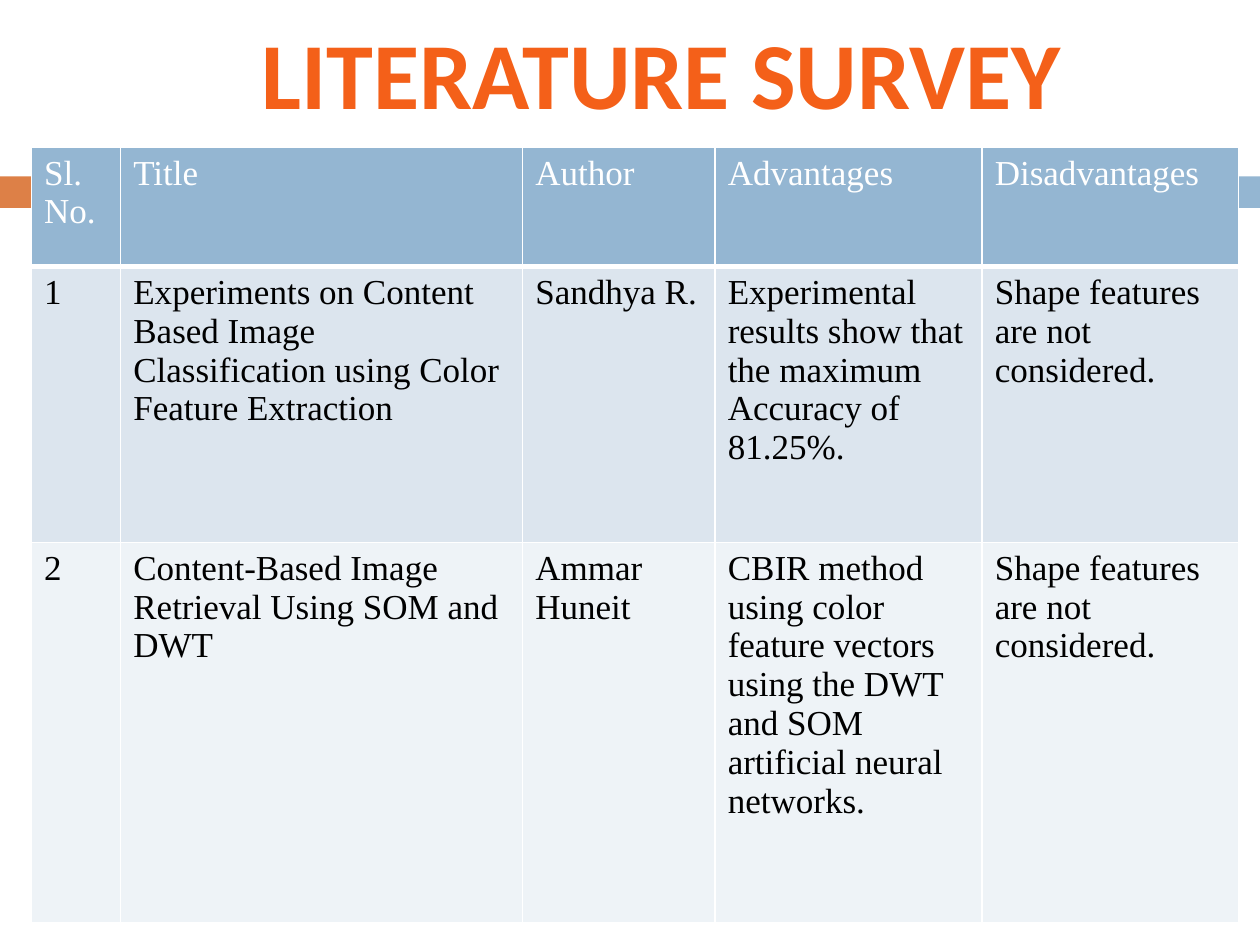
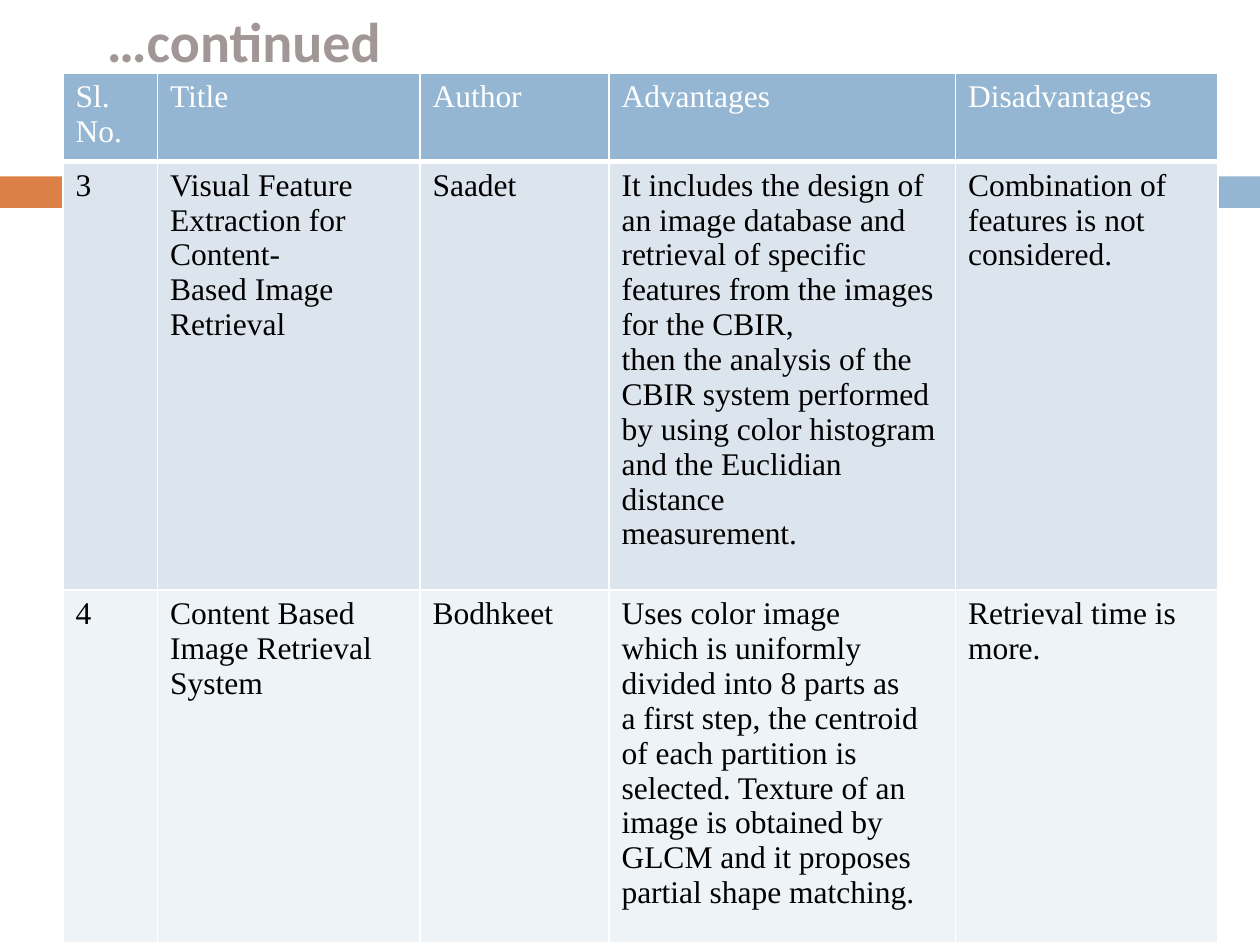
"""Build two literature survey slides, each with a heading and a table of papers."""
from lxml.etree import SubElement
from pptx import Presentation
from pptx.dml.color import RGBColor
from pptx.enum.shapes import MSO_SHAPE
from pptx.enum.text import MSO_ANCHOR, PP_ALIGN
from pptx.oxml.ns import qn
from pptx.util import Pt

ORANGE, BLUE, WHITE, BLACK = "DD8047", "94B6D2", "FFFFFF", "000000"
ROW_FILLS = [BLUE, "DCE5EE", "EEF3F7"]
HEADER = ["Sl. No.", "Title", "Author", "Advantages", "Disadvantages"]
BANDS = [(0, 42, ORANGE), (46.8, 673.2, BLUE)]

SURVEYS = [
    {
        "heading": "LITERATURE SURVEY",
        "heading_box": (42, 8, 672, 66),
        "heading_style": (54, "F46019", PP_ALIGN.CENTER),
        "table_corner": (18, 84.24),
        "text_size": 20,
        "columns": [51, 229.7, 110, 152.6, 146.6],
        "rows": [68.2, 157.7, 217.3],
        "papers": [
            ["1",
             "Experiments on Content Based Image Classification using Color Feature Extraction",
             "Sandhya R.",
             "Experimental results show that the maximum\nAccuracy of 81.25%.",
             "Shape features are not considered."],
            ["2",
             "Content-Based Image Retrieval Using SOM and DWT",
             "Ammar\nHuneit",
             "CBIR method using color feature vectors using the DWT and SOM "
             "artificial neural networks.",
             "Shape features\nare not considered."],
        ],
    },
    {
        "heading": "…continued",
        "heading_box": (54, 0, 228, 46),
        "heading_style": (32, "A19797", PP_ALIGN.LEFT),
        "table_corner": (36, 42),
        "text_size": 18,
        "columns": [54, 150, 108, 198, 150],
        "rows": [48, 233.3, 191.5],
        "papers": [
            ["3",
             "Visual Feature\nExtraction for Content-\nBased Image Retrieval",
             "Saadet",
             "It includes the design of an image database and retrieval of specific\n"
             "features from the images for the CBIR,\nthen the analysis of the\n"
             "CBIR system performed by using color histogram and the Euclidian distance\n"
             "measurement.",
             "Combination of\nfeatures is not\nconsidered."],
            ["4",
             "Content Based\nImage Retrieval\nSystem",
             "Bodhkeet",
             "Uses color image\nwhich is uniformly\ndivided into 8 parts as\n"
             "a first step, the centroid\nof each partition is\nselected. Texture of an\n"
             "image is obtained by\nGLCM and it proposes\npartial shape matching.",
             "Retrieval time is\nmore."],
        ],
    },
]


def style_text(text_frame, font_name, size, color, bold):
    for paragraph in text_frame.paragraphs:
        paragraph.font.name = font_name
        paragraph.font.size = Pt(size)
        paragraph.font.bold = bold
        paragraph.font.color.rgb = RGBColor.from_string(color)


def add_borders(cell, bottom_width):
    properties = cell._tc.get_or_add_tcPr()
    widths = {"a:lnL": 1, "a:lnR": 1, "a:lnT": 1, "a:lnB": bottom_width}
    for position, (side, width) in enumerate(widths.items()):
        line = SubElement(properties, qn(side), w=str(Pt(width)))
        SubElement(SubElement(line, qn("a:solidFill")), qn("a:srgbClr"), val=WHITE)
        properties.insert(position, line)


presentation = Presentation()
presentation.slide_width, presentation.slide_height = Pt(720), Pt(540)

for survey in SURVEYS:
    slide = presentation.slides.add_slide(presentation.slide_layouts[6])

    for left, width, color in BANDS:
        band = slide.shapes.add_shape(MSO_SHAPE.RECTANGLE, Pt(left), Pt(100.8), Pt(width), Pt(18))
        band.shadow.inherit = False
        band.fill.solid()
        band.fill.fore_color.rgb = RGBColor.from_string(color)
        band.line.fill.background()

    heading = slide.shapes.add_textbox(*map(Pt, survey["heading_box"]))
    size, color, alignment = survey["heading_style"]
    heading.text_frame.word_wrap = True
    heading.text_frame.vertical_anchor = MSO_ANCHOR.MIDDLE
    heading.text_frame.text = survey["heading"]
    heading.text_frame.paragraphs[0].alignment = alignment
    style_text(heading.text_frame, "Calibri", size, color, True)

    columns, rows = survey["columns"], survey["rows"]
    left, top = survey["table_corner"]
    table = slide.shapes.add_table(len(rows), len(columns), Pt(left), Pt(top),
                                   Pt(sum(columns)), Pt(sum(rows))).table
    for column, width in zip(table.columns, columns):
        column.width = Pt(width)
    for row, height in zip(table.rows, rows):
        row.height = Pt(height)

    for row_index, texts in enumerate([HEADER] + survey["papers"]):
        is_header = row_index == 0
        for column_index, text in enumerate(texts):
            cell = table.cell(row_index, column_index)
            cell.text = text
            style_text(cell.text_frame, "Times New Roman", survey["text_size"],
                       WHITE if is_header else BLACK, False)
            cell.fill.solid()
            cell.fill.fore_color.rgb = RGBColor.from_string(ROW_FILLS[row_index])
            add_borders(cell, 3 if is_header else 1)

presentation.save("out.pptx")
